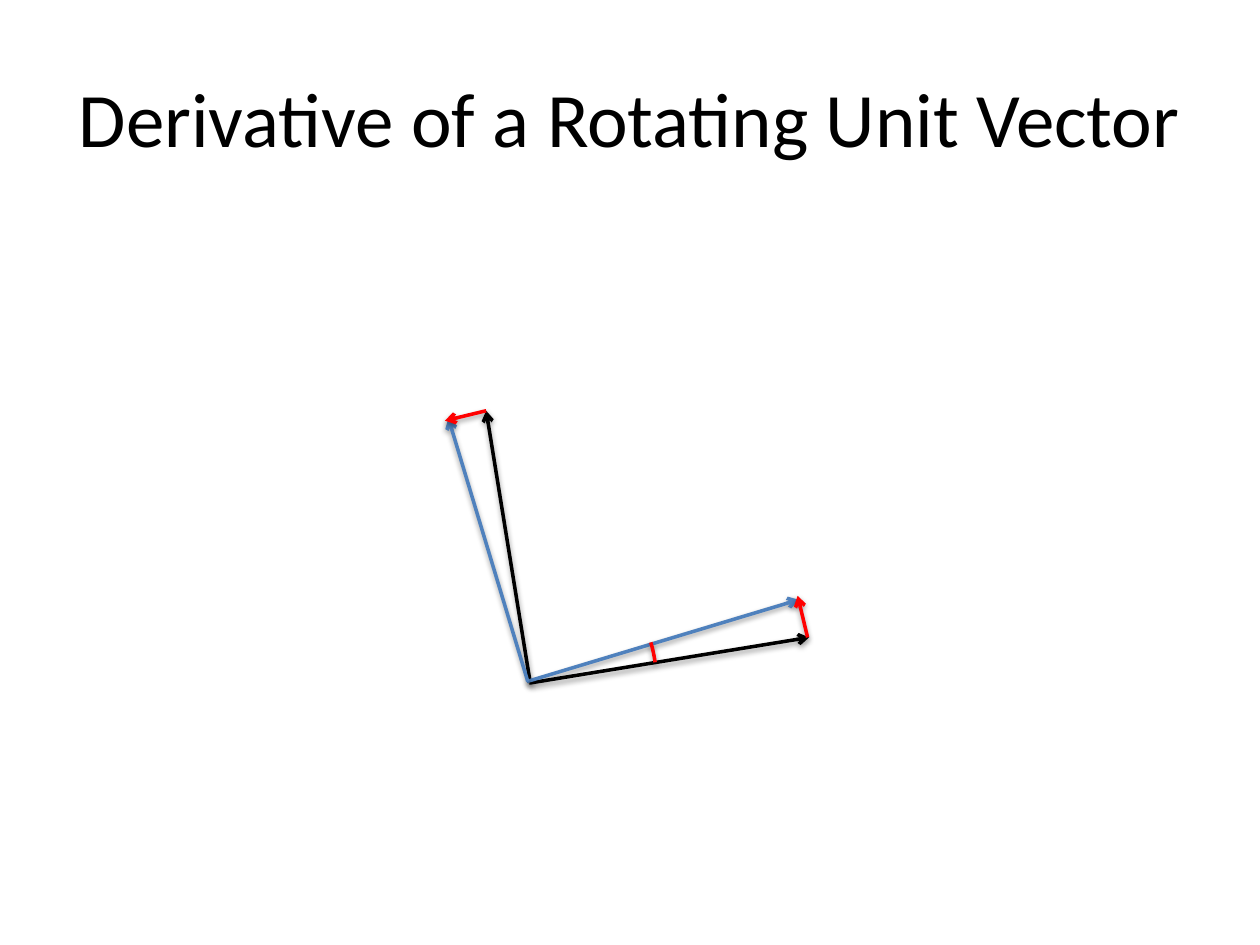
from dataclasses import dataclass

from lxml import etree
from pptx import Presentation
from pptx.dml.color import RGBColor
from pptx.enum.shapes import MSO_CONNECTOR, MSO_SHAPE
from pptx.enum.text import MSO_ANCHOR, PP_ALIGN
from pptx.oxml.ns import qn
from pptx.util import Cm, Pt

STRAIGHT = MSO_CONNECTOR.STRAIGHT
ARC = MSO_SHAPE.ARC
MIDDLE = MSO_ANCHOR.MIDDLE
CENTER = PP_ALIGN.CENTER
TITLE_ONLY = 5
ARC_UNITS_PER_DEGREE = 0.6


@dataclass(frozen=True)
class Theme:
    font: str = "Calibri"
    title_size: Pt = Pt(44)
    line_width: Pt = Pt(2)
    initial: RGBColor = RGBColor(0x00, 0x00, 0x00)
    rotated: RGBColor = RGBColor(0x4F, 0x81, 0xBD)
    change: RGBColor = RGBColor(0xFF, 0x00, 0x00)


theme = Theme()


def add_vector(shapes, start, end, color):
    vector = shapes.add_connector(STRAIGHT, *(Cm(v) for v in start + end))
    vector.line.color.rgb = color
    vector.line.width = theme.line_width
    etree.SubElement(vector.line._get_or_add_ln(), qn("a:tailEnd"), type="arrow")


deck = Presentation()
deck.slide_width, deck.slide_height = Cm(25.4), Cm(19.05)
slide = deck.slides.add_slide(deck.slide_layouts[TITLE_ONLY])

heading = slide.shapes.title
heading.left, heading.top = Cm(1.27), Cm(0.76)
heading.width, heading.height = Cm(22.86), Cm(3.18)
heading.text_frame.vertical_anchor = MIDDLE
heading_line = heading.text_frame.paragraphs[0]
heading_line.alignment = CENTER
heading_words = heading_line.add_run()
heading_words.text = "Derivative of a Rotating Unit Vector"
heading_words.font.name = theme.font
heading_words.font.size = theme.title_size
heading_words.font.color.rgb = theme.initial

unit_vector_pairs = [
    (theme.initial, [((10.67, 13.77), (16.31, 12.85)), ((10.69, 13.77), (9.8, 8.28))]),
    (theme.rotated, [((10.62, 13.74), (16.1, 12.09)), ((10.64, 13.74), (9.04, 8.43))]),
]
for color, unit_vectors in unit_vector_pairs:
    axes = slide.shapes.add_group_shape()
    for start, end in unit_vectors:
        add_vector(axes.shapes, start, end, color)

rotation_angle = slide.shapes.add_shape(ARC, Cm(8.15), Cm(11.15), Cm(5.08), Cm(5.08))
for index, degrees in enumerate((343.1, 352.37)):
    rotation_angle.adjustments[index] = degrees * ARC_UNITS_PER_DEGREE
rotation_angle.fill.background()
rotation_angle.line.color.rgb = theme.change
rotation_angle.line.width = theme.line_width
rotation_angle._element.find(".//" + qn("a:effectRef")).set("idx", "1")

unit_vector_changes = [((16.28, 12.85), (16.08, 12.01)), ((9.8, 8.28), (8.97, 8.48))]
for start, end in unit_vector_changes:
    add_vector(slide.shapes, start, end, theme.change)

deck.save("out.pptx")
